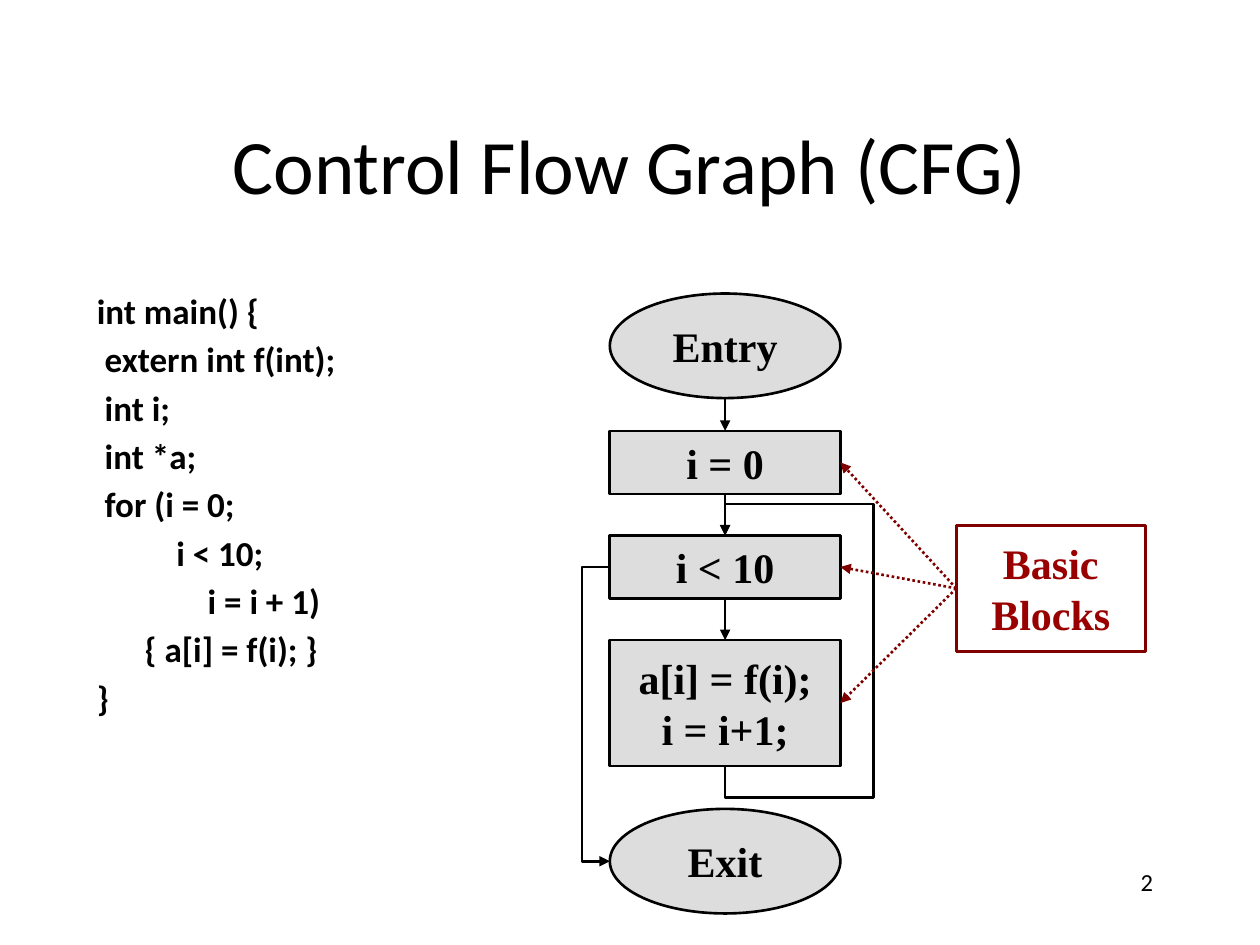
from dataclasses import dataclass
from typing import Optional

from lxml.etree import SubElement
from pptx import Presentation
from pptx.dml.color import RGBColor
from pptx.enum.dml import MSO_LINE
from pptx.enum.shapes import MSO_CONNECTOR, MSO_SHAPE
from pptx.enum.text import MSO_ANCHOR, PP_ALIGN
from pptx.oxml.ns import qn
from pptx.util import Inches, Pt

BLACK = RGBColor(0x00, 0x00, 0x00)
GREY = RGBColor(0xDD, 0xDD, 0xDD)
MAROON = RGBColor(0x80, 0x00, 0x00)
RED = RGBColor(0x99, 0x00, 0x00)
SANS, SERIF = "Calibri", "Times New Roman"

# Column of the graph, in inches
LEFT, WIDE = 4.84, 1.83
MID = LEFT + WIDE / 2

CODE = """int main() {
 extern int f(int);
 int i;
 int *a;
 for (i = 0;
\t    i < 10;
\t\ti = i + 1)
\t{ a[i] = f(i); }
}"""


@dataclass
class Node:
    text: str
    top: float
    high: float
    kind: MSO_SHAPE = MSO_SHAPE.RECTANGLE
    left: float = LEFT
    wide: float = WIDE
    fill: Optional[RGBColor] = GREY
    edge: RGBColor = BLACK
    ink: RGBColor = BLACK


ENTRY = Node("Entry", 2.33, 0.83, MSO_SHAPE.OVAL)
INIT = Node("i = 0", 3.42, 0.5)
TEST = Node("i < 10", 4.25, 0.5)
BODY = Node("a[i] = f(i);\ni = i+1;", 5.08, 1)
EXIT = Node("Exit", 6.42, 0.83, MSO_SHAPE.OVAL)
LABEL = Node("Basic\nBlocks", 4.17, 1, left=7.59, wide=1.5,
             fill=None, edge=MAROON, ink=RED)


def set_text(frame, text: str, font: str, size: int, color: RGBColor,
             align=PP_ALIGN.LEFT, bold: bool = False) -> None:
    frame.text = text
    for para in frame.paragraphs:
        para.alignment = align
        for run in para.runs:
            run.font.name = font
            run.font.size = Pt(size)
            run.font.bold = bold
            run.font.color.rgb = color


def add_box(slide, left: float, top: float, wide: float, high: float):
    box = slide.shapes.add_textbox(Inches(left), Inches(top),
                                   Inches(wide), Inches(high))
    box.text_frame.word_wrap = True
    return box.text_frame


def add_node(slide, node: Node):
    shape = slide.shapes.add_shape(node.kind, Inches(node.left), Inches(node.top),
                                   Inches(node.wide), Inches(node.high))
    shape.shadow.inherit = False
    if node.fill is None:
        shape.fill.background()
    else:
        shape.fill.solid()
        shape.fill.fore_color.rgb = node.fill
    shape.line.color.rgb = node.edge
    shape.line.width = Pt(1.5)
    frame = shape.text_frame
    frame.word_wrap = False
    frame.vertical_anchor = MSO_ANCHOR.MIDDLE
    set_text(frame, node.text, SERIF, 24, node.ink, PP_ALIGN.CENTER, True)
    return shape


def add_head(line, color: RGBColor) -> None:
    line.color.rgb = color
    line.width = Pt(1.5)
    SubElement(line._get_or_add_ln(), qn("a:tailEnd"), type="triangle")


def add_arrow(slide, start, end, sides: tuple[int, int],
              color: RGBColor = BLACK, dots: bool = False) -> None:
    y = start.top + start.height
    x = start.left + start.width // 2
    link = slide.shapes.add_connector(MSO_CONNECTOR.STRAIGHT, x, y, x, end.top)
    if start.auto_shape_type == MSO_SHAPE.RECTANGLE:
        link.begin_connect(start, sides[0])
    link.end_connect(end, sides[1])
    if dots:
        link.line.dash_style = MSO_LINE.ROUND_DOT
    add_head(link.line, color)
    SubElement(link._element.spPr, qn("a:effectLst"))


def add_route(slide, points: list[tuple[float, float]]) -> None:
    spots = [(Inches(x), Inches(y)) for x, y in points]
    pen = slide.shapes.build_freeform(*spots[0])
    pen.add_line_segments(spots[1:], close=False)
    route = pen.convert_to_shape()
    route.shadow.inherit = False
    route.fill.background()
    add_head(route.line, BLACK)


def main() -> None:
    deck = Presentation()
    deck.slide_width, deck.slide_height = Inches(10), Inches(7.5)
    slide = deck.slides.add_slide(deck.slide_layouts[6])

    # Title and page number
    title = add_box(slide, 0.75, 0.67, 8.5, 1.25)
    title.vertical_anchor = MSO_ANCHOR.MIDDLE
    set_text(title, "Control Flow Graph (CFG)", SANS, 44, BLACK, PP_ALIGN.CENTER)
    page = add_box(slide, 7.17, 6.83, 2.08, 0.5)
    set_text(page, "2", SANS, 14, BLACK, PP_ALIGN.RIGHT)

    # Source code, with a hanging indent that the tabs rely on
    code = add_box(slide, 0.67, 2.25, 4, 4.5)
    set_text(code, CODE, SANS, 20, BLACK, bold=True)
    for rank, para in enumerate(code.paragraphs):
        props = para._p.get_or_add_pPr()
        props.set("marL", str(Inches(0.38)))
        props.set("indent", str(Inches(-0.38)))
        if rank:
            para.space_before = Pt(3.6)

    # Graph nodes
    entry, init, test, body, _, label = [
        add_node(slide, node) for node in (ENTRY, INIT, TEST, BODY, EXIT, LABEL)]

    # Straight flow down the column
    for start, end in ((entry, init), (init, test), (test, body)):
        add_arrow(slide, start, end, (2, 0))

    # Loop back to the test, and the way out
    add_route(slide, [(MID, BODY.top + BODY.high), (MID, 6.33), (6.93, 6.33),
                      (6.93, 4), (MID, 4), (MID, TEST.top)])
    test_y, exit_y = TEST.top + TEST.high / 2, EXIT.top + EXIT.high / 2
    add_route(slide, [(LEFT, test_y), (4.62, test_y),
                      (4.62, exit_y), (LEFT, exit_y)])

    # Pointers from the label to the blocks
    for block in (init, test, body):
        add_arrow(slide, label, block, (1, 3), MAROON, True)

    deck.save("out.pptx")


if __name__ == "__main__":
    main()
